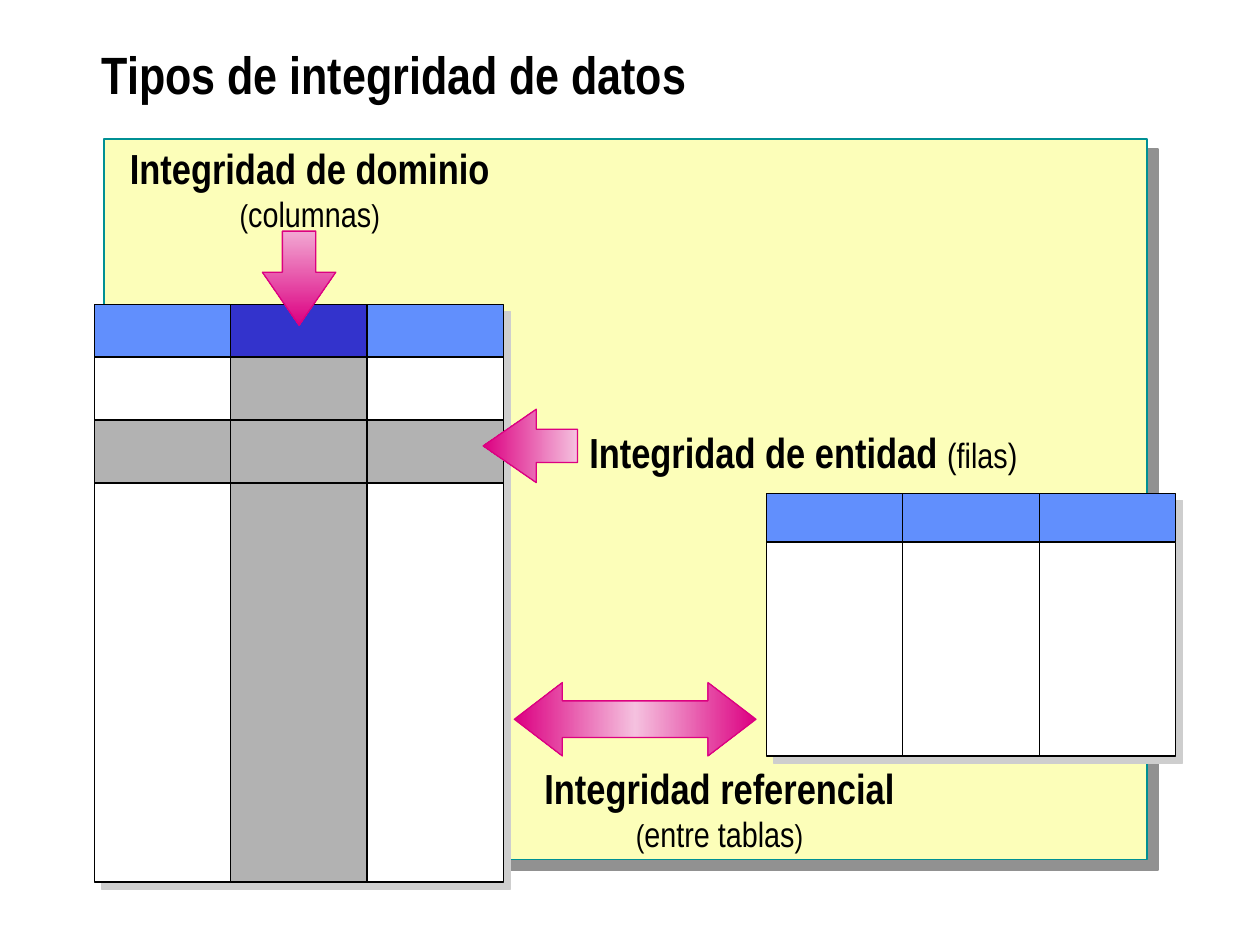
from copy import deepcopy

from lxml import etree
from pptx import Presentation
from pptx.dml.color import RGBColor
from pptx.enum.shapes import MSO_SHAPE
from pptx.enum.text import MSO_ANCHOR, PP_ALIGN
from pptx.oxml.ns import qn
from pptx.util import Cm, Pt

RECT = MSO_SHAPE.RECTANGLE
DOWN = MSO_SHAPE.DOWN_ARROW
LEFT_RIGHT = MSO_SHAPE.LEFT_RIGHT_ARROW
MIDDLE = MSO_ANCHOR.MIDDLE
CENTER = PP_ALIGN.CENTER

BLACK = RGBColor(0x00, 0x00, 0x00)
WHITE = RGBColor(0xFF, 0xFF, 0xFF)
CREAM = RGBColor(0xFC, 0xFE, 0xB9)
TEAL = RGBColor(0x00, 0x90, 0x94)
BLUE = RGBColor(0x61, 0x8F, 0xFD)
DARK_BLUE = RGBColor(0x33, 0x33, 0xCC)
GRAY = RGBColor(0xB2, 0xB2, 0xB2)
PANEL_SHADOW = RGBColor(0x91, 0x91, 0x91)
CELL_SHADOW = RGBColor(0xCE, 0xCE, 0xCE)
MAGENTA = RGBColor(0xDC, 0x00, 0x81)
PINK = RGBColor(0xF2, 0xA8, 0xD3)
PALE_PINK = RGBColor(0xF5, 0xC1, 0xDF)

prs = Presentation()
prs.slide_width, prs.slide_height = Cm(25.4), Cm(19.05)
s = prs.slides.add_slide(prs.slide_layouts[6])


def add_box(box, fill, line=BLACK, width=0.75, shadow=None, dist=5.7):
    """Add a rectangle; shadow is the colour of a hard shadow at 45 degrees."""
    sp = s.shapes.add_shape(RECT, *map(Cm, box))
    sp.shadow.inherit = False
    if fill is None:
        sp.fill.background()
    else:
        sp.fill.solid()
        sp.fill.fore_color.rgb = fill
    sp.line.color.rgb = line
    sp.line.width = Pt(width)
    if shadow is not None:
        effects = sp._element.spPr.find(qn("a:effectLst"))
        outer = etree.SubElement(effects, qn("a:outerShdw"), dist=str(Pt(dist)),
                                 dir="2700000", algn="ctr", rotWithShape="0")
        etree.SubElement(outer, qn("a:srgbClr"), val=str(shadow))


def add_text(box, runs, align=None, anchor=None, spacing=None):
    """Add a text box from (text, size, bold) runs; "\\n" is a line break."""
    tf = s.shapes.add_textbox(*map(Cm, box)).text_frame
    tf.word_wrap = True
    tf.vertical_anchor = anchor
    p = tf.paragraphs[0]
    p.alignment = align
    p.line_spacing = spacing
    for text, size, bold in runs:
        if text == "\n":
            p.add_line_break()
            continue
        r = p.add_run()
        r.text = text
        font = {"name": "Arial Narrow", "size": Pt(size), "bold": bold}
        for key, value in font.items():
            setattr(r.font, key, value)
        r.font.color.rgb = BLACK


add_box((2.1, 2.8, 21.03, 14.53), CREAM, TEAL, 1, PANEL_SHADOW, 8.5)
add_text((1.8, 0.43, 22.76, 2.34), [("Tipos de integridad de datos", 30, True)],
         anchor=MIDDLE, spacing=0.8)

# Labels
for box, heading, note in [
    ((1.9, 2.75, 8.69, 2.13), "Integridad de dominio", "columnas"),
    ((10.16, 15.24, 8.69, 2.13), "Integridad referencial", "entre tablas"),
]:
    add_text(box, [(heading, 24, True), ("\n", 24, True), ("(", 18, False),
                   (note, 20, False), (")", 18, False)], CENTER)
add_text((11.43, 8.47, 9.53, 1.27),
         [("Integridad de entidad ", 24, True), ("(filas)", 20, False)], CENTER)

# Two tables of three columns: left, top, header height, body height, colours
COL = 2.75
TABLES = [
    (1.9, 6.14, 1.06, 10.58, (BLUE, DARK_BLUE, BLUE), (WHITE, GRAY, WHITE)),
    (15.45, 9.95, 0.98, 4.31, (BLUE,) * 3, (WHITE,) * 3),
]
for left, top, head, body, head_fills, body_fills in TABLES:
    for y, height, fills in [(top, head, head_fills), (top + head, body, body_fills)]:
        for i, fill in enumerate(fills):
            dist = 1.4 if y == top and i < 2 else 5.7
            add_box((left + i * COL, y, COL, height), fill, shadow=CELL_SHADOW, dist=dist)

# Highlighted row of the left table
for x, width, fill in [(1.9, COL, GRAY), (1.9 + 2 * COL, COL, GRAY), (1.9, 3 * COL, None)]:
    add_box((x, 8.47, width, 1.27), fill)

# Arrows: shape, box, rotation, adjustments, gradient angle, gradient colours
ARROWS = [
    (DOWN, (5.29, 4.66, 1.48, 1.9), 0, (0.455, 0.724), 270, (PINK, MAGENTA)),
    (DOWN, (9.95, 8.04, 1.48, 1.9), 90, (0.455, 0.723), 270, (PALE_PINK, MAGENTA)),
    (LEFT_RIGHT, (10.37, 13.76, 4.87, 1.48), 0, (0.5, 0.654), 0,
     (MAGENTA, PALE_PINK, MAGENTA)),
]
for kind, box, rotation, adjustments, angle, colors in ARROWS:
    sp = s.shapes.add_shape(kind, *map(Cm, box))
    sp.shadow.inherit = False
    sp.rotation = rotation
    for i, value in enumerate(adjustments):
        sp.adjustments[i] = value
    sp.line.color.rgb = MAGENTA
    sp.line.width = Pt(0.75)
    sp.fill.gradient()
    sp.fill.gradient_angle = angle
    stops = sp._element.spPr.find(qn("a:gradFill")).find(qn("a:gsLst"))
    for _ in colors[2:]:
        stops.append(deepcopy(stops[0]))
    for i, (stop, color) in enumerate(zip(sp.fill.gradient_stops, colors)):
        stop.position = i / (len(colors) - 1)
        stop.color.rgb = color

prs.save("out.pptx")
